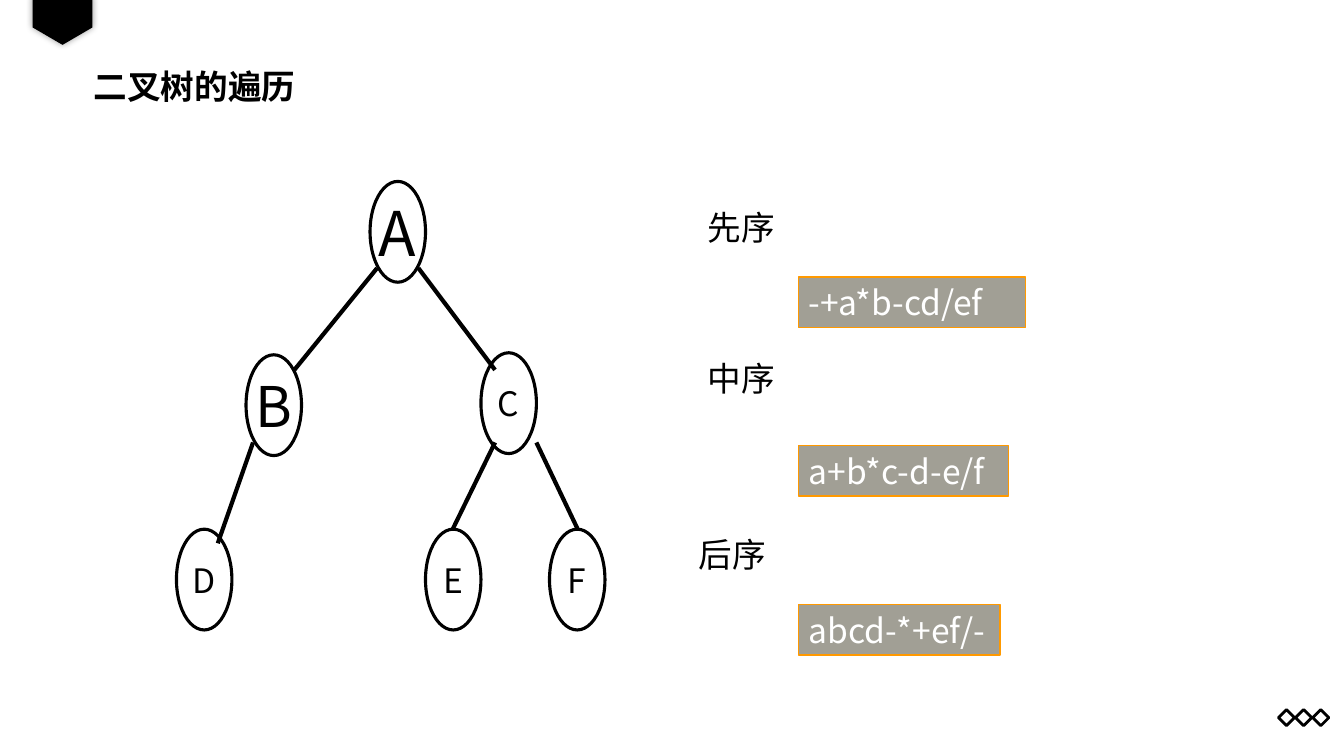
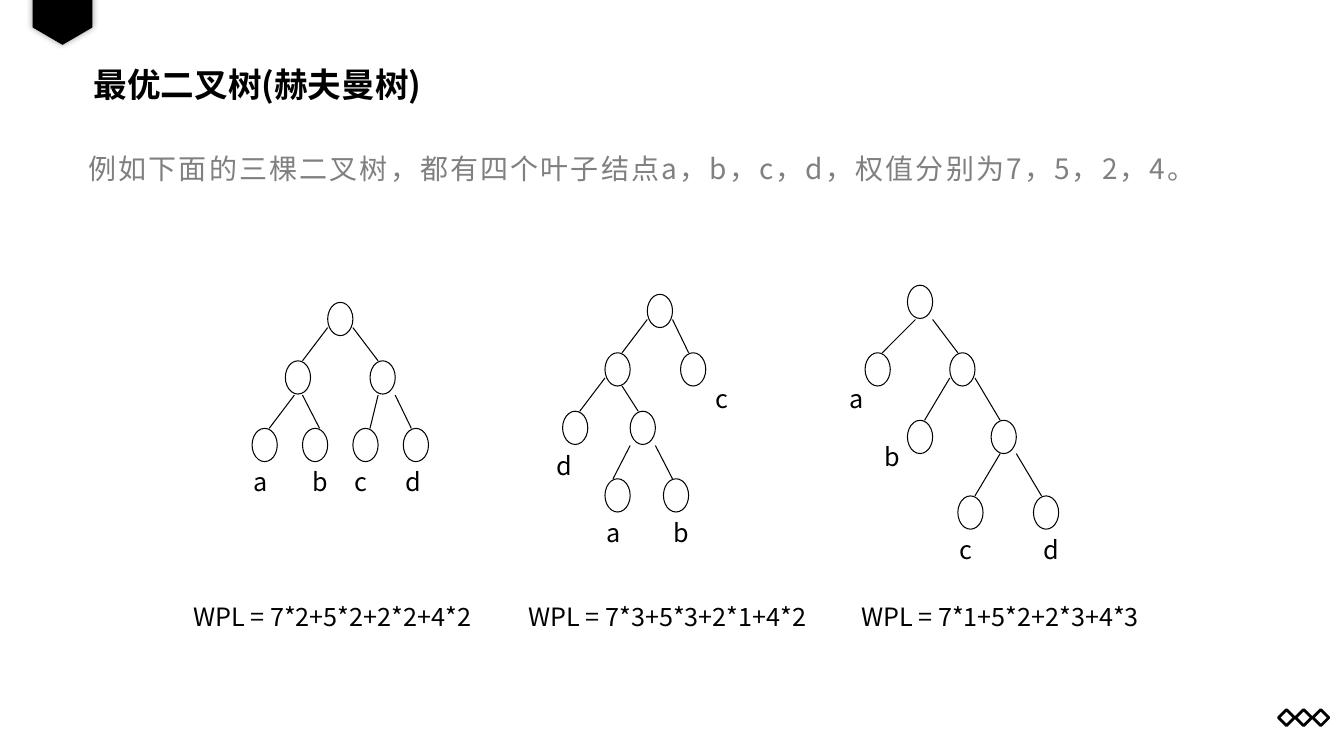
from dataclasses import dataclass

from lxml.etree import SubElement
from pptx import Presentation
from pptx.dml.color import RGBColor
from pptx.enum.shapes import MSO_CONNECTOR, MSO_SHAPE
from pptx.enum.text import MSO_ANCHOR, PP_ALIGN
from pptx.oxml.ns import qn
from pptx.util import Inches, Pt


@dataclass(frozen=True)
class Theme:
    font: str = "Noto Sans CJK SC"
    black: str = "000000"
    white: str = "FFFFFF"
    gray: str = "808080"
    answer_fill: str = "A19F95"
    answer_line: str = "FF9900"
    heading: int = 24
    body: int = 20
    label: int = 18


THEME = Theme()


def add_item(page, kind, at, text="", size=THEME.heading, color=THEME.black, fill=None,
             line=None, width=1, align=PP_ALIGN.LEFT, anchor=MSO_ANCHOR.MIDDLE, bold=False):
    """Add a preset shape, or a text box when kind is None, with one styled paragraph."""
    place = [Inches(value) for value in at]
    if kind is None:
        item = page.shapes.add_textbox(*place)
    else:
        item = page.shapes.add_shape(kind, *place)
        item.shadow.inherit = False
        if fill:
            item.fill.solid()
            item.fill.fore_color.rgb = RGBColor.from_string(fill)
        else:
            item.fill.background()
        if line:
            item.line.color.rgb = RGBColor.from_string(line)
            item.line.width = Pt(width)
        else:
            item.line.fill.background()
    if text:
        frame = item.text_frame
        frame.word_wrap = align != PP_ALIGN.CENTER
        frame.vertical_anchor = anchor
        frame.margin_top = frame.margin_bottom = 0
        para = frame.paragraphs[0]
        para.text = text
        para.alignment = align
        span = para.runs[0]
        span.font.size = Pt(size)
        span.font.bold = bold
        span.font.color.rgb = RGBColor.from_string(color)
        span.font.name = THEME.font
        SubElement(span.font._element, qn("a:ea"), typeface=THEME.font)
    return item


def add_edge(page, x1, y1, x2, y2, width):
    edge = page.shapes.add_connector(
        MSO_CONNECTOR.STRAIGHT, Inches(x1), Inches(y1), Inches(x2), Inches(y2))
    edge.line.color.rgb = RGBColor.from_string(THEME.black)
    edge.line.width = Pt(width)
    SubElement(edge._element.spPr, qn("a:effectLst"))


deck = Presentation()
deck.slide_width, deck.slide_height = Inches(13.33), Inches(7.5)

# Shared frame: corner tag, row of diamonds, title
pages = []
for title, title_top in [("二叉树的遍历", 0.62), ("最优二叉树(赫夫曼树)", 0.6)]:
    page = deck.slides.add_slide(deck.slide_layouts[6])
    for column in range(3):
        add_item(page, MSO_SHAPE.DIAMOND, (12.68 + 0.17 * column, 7.04, 0.16, 0.16),
                 line=THEME.black, width=2)
    tag = add_item(page, MSO_SHAPE.PENTAGON, (0.38, -0.09, 0.48, 0.59), fill=THEME.black)
    tag.rotation = 90
    tag.adjustments[0] = 0.358
    effects = tag._element.spPr.find(qn("a:effectLst"))
    shadow = SubElement(effects, qn("a:outerShdw"), blurRad=str(Pt(5)), dist="0", algn="ctr")
    shade = SubElement(shadow, qn("a:srgbClr"), val=THEME.black)
    SubElement(shade, qn("a:alpha"), val="40000")
    heading = add_item(page, None, (0.83, title_top, 11.68, 0.46), title,
                       anchor=MSO_ANCHOR.BOTTOM, bold=True)
    heading.text_frame.margin_bottom = Inches(0.03)
    pages.append(page)
traversal, huffman = pages

# Traversal: the tree
for letter, left, top, size in [
    ("A", 3.67, 1.8, 44), ("B", 2.44, 3.52, 40), ("C", 4.77, 3.5, 24),
    ("D", 1.75, 5.25, 24), ("E", 4.22, 5.25, 24), ("F", 5.45, 5.25, 24),
]:
    add_item(traversal, MSO_SHAPE.OVAL, (left, top, 0.55, 1), letter, size,
             line=THEME.black, width=2.25, align=PP_ALIGN.CENTER)
for ends in [
    (3.74, 2.66, 2.92, 3.67), (4.15, 2.66, 4.91, 3.67), (2.51, 4.39, 2.16, 5.39),
    (4.91, 4.39, 4.49, 5.25), (5.32, 4.39, 5.73, 5.25),
]:
    add_edge(traversal, *ends, width=3)

# Traversal: the three orders and their results
for name, left, top, answer, answer_top, answer_width in [
    ("先序", 6.92, 2, "-+a*b-cd/ef", 2.75, 2.25),
    ("中序", 6.92, 3.5, "a+b*c-d-e/f", 4.42, 2.08),
    ("后序", 6.83, 5.25, "abcd-*+ef/-", 6, 2),
]:
    add_item(traversal, None, (left, top, 4.08, 0.5), name)
    add_item(traversal, MSO_SHAPE.RECTANGLE, (7.92, answer_top, answer_width, 0.5), answer,
             color=THEME.white, fill=THEME.answer_fill, line=THEME.answer_line)

# Huffman: example sentence
example = add_item(
    huffman, None, (0.78, 1.35, 11.73, 4.9),
    "例如下面的三棵二叉树，都有四个叶子结点a，b，c，d，权值分别为7，5，2，4。",
    THEME.body, THEME.gray, anchor=MSO_ANCHOR.TOP)
example.text_frame.margin_top = Inches(0.05)
sentence = example.text_frame.paragraphs[0]
sentence.line_spacing = 1.3
sentence.runs[0].font._element.set("spc", "150")

# Huffman: each tree has node corners, edge ends, leaf labels and a weighted path length
trees = [
    {
        "nodes": [(3.25, 3), (2.83, 3.58), (3.67, 3.58),
                  (2.5, 4.25), (3, 4.25), (3.5, 4.25), (4, 4.25)],
        "edges": [(3.25, 3.25, 3, 3.58), (3.5, 3.25, 3.75, 3.58),
                  (2.92, 3.92, 2.67, 4.25), (3, 3.92, 3.17, 4.25),
                  (3.75, 3.92, 3.67, 4.25), (3.92, 3.92, 4.08, 4.25)],
        "leaves": [("a", 2.42, 4.58), ("b", 3, 4.58), ("c", 3.42, 4.58), ("d", 3.92, 4.58)],
        "formula": ("WPL = 7*2+5*2+2*2+4*2", 1.67, 3.25),
    },
    {
        "nodes": [(6.42, 2.92), (6, 3.5), (6.75, 3.5),
                  (5.58, 4.08), (6.25, 4.08), (6, 4.75), (6.58, 4.75)],
        "edges": [(6.42, 3.17, 6.17, 3.5), (6.67, 3.17, 6.83, 3.5),
                  (6, 3.75, 5.75, 4.08), (6.17, 3.83, 6.33, 4.08),
                  (6.25, 4.42, 6.08, 4.75), (6.5, 4.42, 6.67, 4.75)],
        "leaves": [("a", 5.92, 5.08), ("b", 6.58, 5.08), ("c", 7, 3.75), ("d", 5.42, 4.42)],
        "formula": ("WPL = 7*3+5*3+2*1+4*2", 4.58, 4.08),
    },
    {
        "nodes": [(9, 2.83), (8.58, 3.5), (9.42, 3.5),
                  (9, 4.17), (9.83, 4.17), (9.5, 4.92), (10.25, 4.92)],
        "edges": [(9.08, 3.17, 8.75, 3.5), (9.25, 3.17, 9.5, 3.5),
                  (9.42, 3.75, 9.17, 4.17), (9.67, 3.75, 9.92, 4.17),
                  (9.92, 4.5, 9.67, 4.92), (10.08, 4.5, 10.33, 4.92)],
        "leaves": [("a", 8.33, 3.75), ("b", 8.67, 4.33), ("c", 9.42, 5.25), ("d", 10.25, 5.25)],
        "formula": ("WPL = 7*1+5*2+2*3+4*3", 7.92, 4),
    },
]
for tree in trees:
    for left, top in tree["nodes"]:
        add_item(huffman, MSO_SHAPE.OVAL, (left, top, 0.25, 0.33),
                 fill=THEME.white, line=THEME.black, width=0.75)
    for ends in tree["edges"]:
        add_edge(huffman, *ends, width=0.75)
    for letter, left, top in tree["leaves"]:
        add_item(huffman, None, (left, top, 0.33, 0.4), letter, THEME.label,
                 align=PP_ALIGN.CENTER)
    formula, left, width = tree["formula"]
    add_item(huffman, None, (left, 5.92, width, 0.4), formula, THEME.label,
             align=PP_ALIGN.CENTER)

deck.save("out.pptx")
